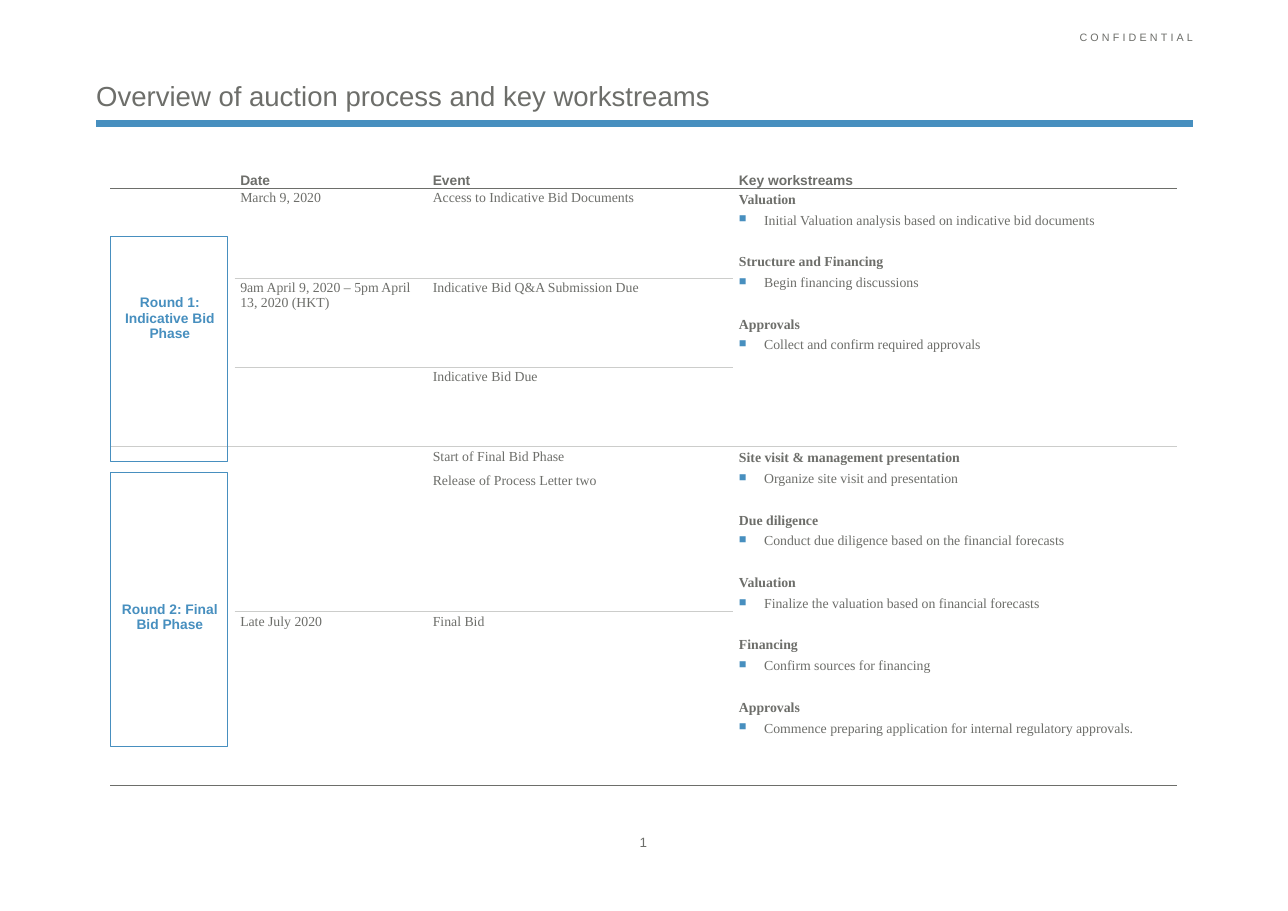
from dataclasses import dataclass

from lxml.etree import SubElement
from pptx import Presentation
from pptx.dml.color import RGBColor
from pptx.enum.shapes import MSO_CONNECTOR, MSO_SHAPE
from pptx.enum.text import MSO_ANCHOR as Anchor, PP_ALIGN as Align
from pptx.oxml import parse_xml
from pptx.oxml.ns import nsdecls, qn
from pptx.util import Cm, Pt


@dataclass(frozen=True)
class Theme:
    """Colours, fonts and type sizes of the slide."""
    blue: str = "478FBF"
    grey: str = "6D6E6A"
    light: str = "CCCDCB"
    sans: str = "Arial"
    serif: str = "Times New Roman"
    title: float = 18
    body: float = 9
    number: float = 8.8
    label: float = 7


THEME = Theme()
NO_STYLE = "{2D5ABB26-0587-4C30-8999-92F81FD0307C}"
COLUMNS = (2.87, 4.44, 7.06, 10.24)
ROWS = (0.56, 2.07, 2.05, 1.84, 3.8, 4.01)
HEADERS = ("Date", "Event", "Key workstreams")
SCHEDULE = (
    ("March 9, 2020", ["Access to Indicative Bid Documents"]),
    ("9am April 9, 2020 – 5pm April 13, 2020 (HKT)", ["Indicative Bid Q&A Submission Due"]),
    ("", ["Indicative Bid Due"]),
    ("", ["Start of Final Bid Phase", "Release of Process Letter two"]),
    ("Late July 2020", ["Final Bid"]),
)
PHASES = (
    (1, 3, "Round 1: Indicative Bid Phase", (5.46, 5.18), (
        ("Valuation", "Initial Valuation analysis based on indicative bid documents"),
        ("Structure and Financing", "Begin financing discussions"),
        ("Approvals", "Collect and confirm required approvals"))),
    (4, 5, "Round 2: Final Bid Phase", (10.9, 6.32), (
        ("Site visit & management presentation", "Organize site visit and presentation"),
        ("Due diligence", "Conduct due diligence based on the financial forecasts"),
        ("Valuation", "Finalize the valuation based on financial forecasts"),
        ("Financing", "Confirm sources for financing"),
        ("Approvals", "Commence preparing application for internal regulatory approvals."))),
)
ALL_COLUMNS, SCHEDULE_COLUMNS = range(4), (1, 2)
RULES = (
    (0, ALL_COLUMNS, THEME.grey), (1, SCHEDULE_COLUMNS, THEME.light),
    (2, SCHEDULE_COLUMNS, THEME.light), (3, ALL_COLUMNS, THEME.light),
    (4, SCHEDULE_COLUMNS, THEME.light), (5, ALL_COLUMNS, THEME.grey),
)


def apply(target, values):
    """Set every attribute in values on target."""
    for name, value in values.items():
        setattr(target, name, value)


class SlideBuilder:
    """Draws styled elements on one slide."""

    def __init__(self, slide, theme):
        """Keep the slide and its theme."""
        self.slide, self.theme = slide, theme

    def styled_run(self, paragraph, text, font=None, **layout):
        """Put one styled run into a paragraph."""
        apply(paragraph, layout)
        run = paragraph.add_run()
        run.text = text
        values = {"name": self.theme.sans, "size": self.theme.body,
                  "color": self.theme.grey, "bold": False} | (font or {})
        run.font.color.rgb = RGBColor.from_string(values.pop("color"))
        apply(run.font, values | {"size": Pt(values["size"])})
        return run

    def textbox(self, box, text, size, anchor, **layout):
        """Add a text box without margins."""
        frame = self.slide.shapes.add_textbox(*map(Cm, box)).text_frame
        apply(frame, {"word_wrap": True, "vertical_anchor": anchor, "margin_left": 0,
                      "margin_right": 0, "margin_top": 0, "margin_bottom": 0})
        return self.styled_run(frame.paragraphs[0], text, {"size": size}, **layout)

    def line(self, start, end, width):
        """Add a straight blue line."""
        line = self.slide.shapes.add_connector(MSO_CONNECTOR.STRAIGHT, *map(Cm, start + end))
        line.line.color.rgb = RGBColor.from_string(self.theme.blue)
        line.line.width = Pt(width)
        SubElement(line._element.spPr, qn("a:effectLst"))

    def frame(self, box):
        """Add an unfilled blue rectangle."""
        shape = self.slide.shapes.add_shape(MSO_SHAPE.RECTANGLE, *map(Cm, box))
        shape.shadow.inherit = False
        shape.fill.background()
        shape.line.color.rgb = RGBColor.from_string(self.theme.blue)
        shape.line.width = Pt(0.75)

    def table(self, left, top, columns, rows):
        """Add a plain table with small margins in its cells."""
        table = self.slide.shapes.add_table(
            len(rows), len(columns), Cm(left), Cm(top), Cm(sum(columns)), Cm(sum(rows))).table
        apply(table, {"first_row": False, "horz_banding": False})
        table._tbl.tblPr.find(qn("a:tableStyleId")).text = NO_STYLE
        for column, width in zip(table.columns, columns):
            column.width = Cm(width)
        for row, height in zip(table.rows, rows):
            row.height = Cm(height)
            for cell in row.cells:
                apply(cell, {"margin_left": Cm(0.13), "margin_right": Cm(0.25),
                             "margin_top": Cm(0.05), "margin_bottom": 0})
                cell.fill.background()
                size = str(int(self.theme.body * 100))
                SubElement(cell.text_frame.paragraphs[0]._p, qn("a:endParaRPr"), sz=size)
        return table

    def fill_cell(self, cell, texts, anchor=Anchor.TOP, font=None, **layout):
        """Put one paragraph per text into a cell."""
        cell.vertical_anchor = anchor
        layout = {"space_before": Pt(2.6), "space_after": Pt(3)} | layout
        for index, text in enumerate(texts):
            frame = cell.text_frame
            paragraph = frame.add_paragraph() if index else frame.paragraphs[0]
            self.styled_run(paragraph, text, font, **layout)

    def workstreams(self, cell, items):
        """Add bold headings, each with a bulleted task."""
        frame = cell.text_frame
        for index, (heading, task) in enumerate(items):
            paragraph = frame.add_paragraph() if index else frame.paragraphs[0]
            self.styled_run(paragraph, heading, {"name": self.theme.serif, "bold": True},
                            line_spacing=1.1, space_before=Pt(16.2 if index else 2.6))
            paragraph = frame.add_paragraph()
            self.styled_run(paragraph, task, {"name": self.theme.serif},
                            line_spacing=1.1, space_before=Pt(2.6))
            self.bullet(paragraph)

    def bullet(self, paragraph):
        """Give a paragraph a blue square bullet."""
        properties = paragraph._p.get_or_add_pPr()
        properties.set("marL", str(Cm(0.58)))
        properties.set("indent", str(-Cm(0.58)))
        color = SubElement(properties, qn("a:buClr"))
        SubElement(color, qn("a:srgbClr"), val=self.theme.blue)
        SubElement(properties, qn("a:buSzPct"), val="75000")
        SubElement(properties, qn("a:buFont"), typeface="Wingdings")
        SubElement(properties, qn("a:buChar"), char="n")

    def border(self, cell, side, color):
        """Draw a thin line on one side of a cell."""
        properties = cell._tc.get_or_add_tcPr()
        line = parse_xml(
            f'<a:{side} {nsdecls("a")} w="{Pt(0.5)}"><a:solidFill>'
            f'<a:srgbClr val="{color}"/></a:solidFill></a:{side}>')
        properties.insert(len(properties.findall(qn("a:lnT"))), line)


def main():
    """Build and save the slide."""
    presentation = Presentation()
    apply(presentation, {"slide_width": Cm(29.7), "slide_height": Cm(21)})
    builder = SlideBuilder(presentation.slides.add_slide(presentation.slide_layouts[6]), THEME)

    builder.line((2.22, 2.85), (27.5, 2.85), 4.5)
    label = builder.textbox((7.57, 0.69, 19.94, 0.61), "CONFIDENTIAL", THEME.label,
                            Anchor.TOP, alignment=Align.RIGHT, line_spacing=1.1)
    label._r.get_or_add_rPr().set("spc", "210")
    builder.textbox((2.22, 0.69, 25.3, 1.9), "Overview of auction process and key workstreams",
                    THEME.title, Anchor.BOTTOM)
    builder.textbox((14.53, 19.15, 0.61, 0.48), "1", THEME.number, Anchor.MIDDLE,
                    alignment=Align.CENTER, line_spacing=1.1)

    table = builder.table(2.54, 3.78, COLUMNS, ROWS)
    for column, header in enumerate(HEADERS, 1):
        builder.fill_cell(table.cell(0, column), [header], Anchor.BOTTOM, {"bold": True})
    for row, (date, events) in enumerate(SCHEDULE, 1):
        for column, texts in enumerate(([date] if date else [], events), 1):
            builder.fill_cell(table.cell(row, column), texts, font={"name": THEME.serif})
    for first, last, phase, (top, height), items in PHASES:
        for column in (0, 3):
            table.cell(first, column).merge(table.cell(last, column))
        builder.fill_cell(table.cell(first, 0), [phase], Anchor.MIDDLE,
                          {"bold": True, "color": THEME.blue}, alignment=Align.CENTER)
        builder.workstreams(table.cell(first, 3), items)
        builder.frame((2.54, top, 2.7, height))
    merge_starts = {last: first for first, last, *_ in PHASES}
    for row, columns, color in RULES:
        for column in columns:
            start = merge_starts.get(row, row) if column in (0, 3) else row
            builder.border(table.cell(start, column), "lnB", color)
            if row + 1 < len(ROWS):
                builder.border(table.cell(row + 1, column), "lnT", color)
    presentation.save("out.pptx")


if __name__ == "__main__":
    main()
